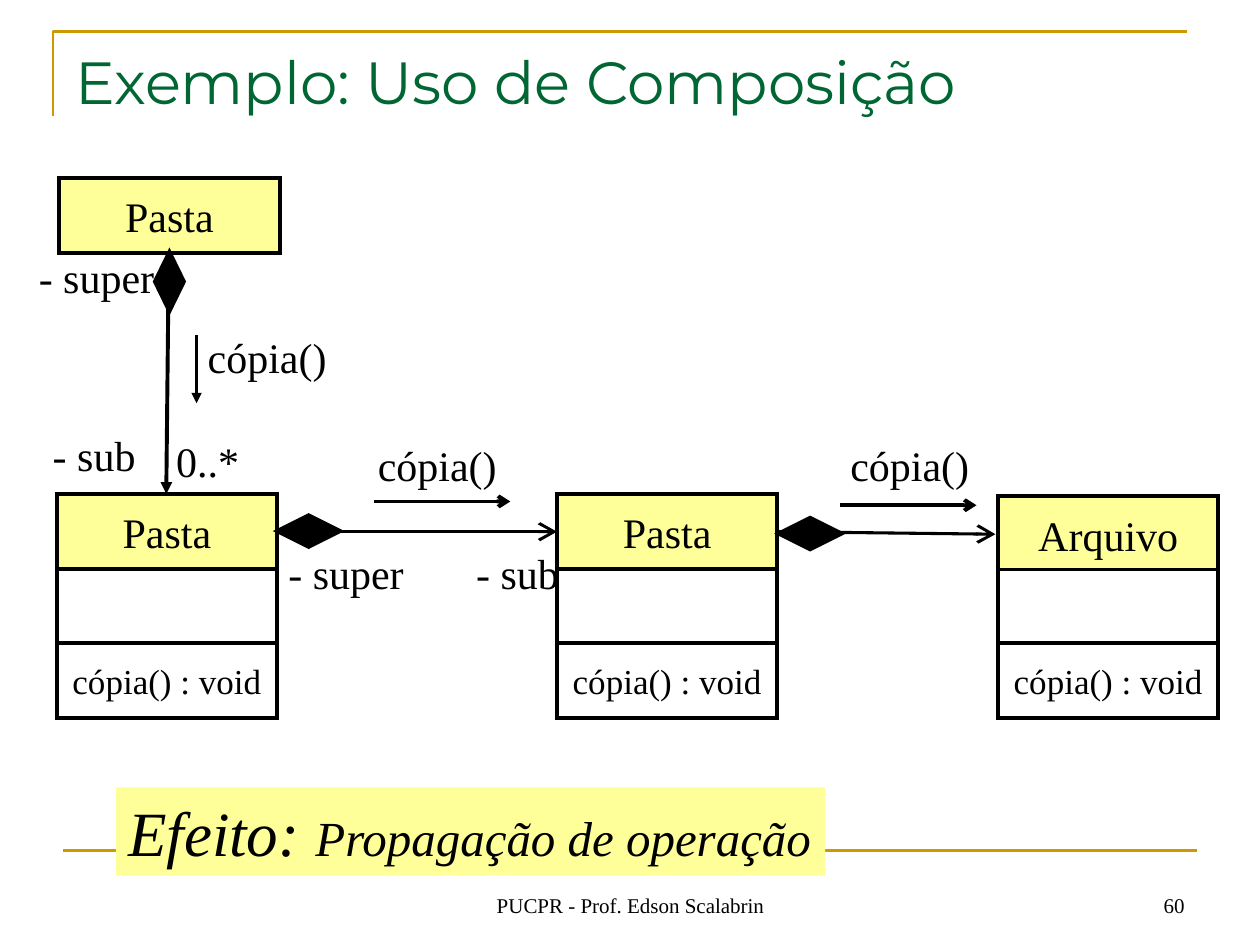
from lxml import etree
from pptx import Presentation
from pptx.dml.color import RGBColor
from pptx.enum.shapes import MSO_CONNECTOR, MSO_SHAPE
from pptx.enum.text import MSO_ANCHOR, MSO_AUTO_SIZE, PP_ALIGN
from pptx.oxml.ns import qn
from pptx.util import Inches, Pt

RECTANGLE, DIAMOND = MSO_SHAPE.RECTANGLE, MSO_SHAPE.FLOWCHART_DECISION
STRAIGHT = MSO_CONNECTOR.STRAIGHT
LEFT, CENTER, RIGHT = PP_ALIGN.LEFT, PP_ALIGN.CENTER, PP_ALIGN.RIGHT
TOP, MIDDLE, BOTTOM = MSO_ANCHOR.TOP, MSO_ANCHOR.MIDDLE, MSO_ANCHOR.BOTTOM
FIT_TEXT = MSO_AUTO_SIZE.SHAPE_TO_FIT_TEXT
COLORS = {
    name: RGBColor.from_string(value)
    for name, value in {
        "black": "000000", "white": "FFFFFF", "yellow": "FFFF99",
        "gold": "CC9900", "green": "006633",
    }.items()
}
SERIF = "Times New Roman"


def write(box, text, size, align=LEFT, anchor=TOP, font=SERIF, color="black", wrap=False):
    frame = box.text_frame
    frame.text = text
    frame.word_wrap = wrap
    frame.vertical_anchor = anchor
    para = frame.paragraphs[0]
    para.alignment = align
    para.font.size = Pt(size)
    para.font.name = font
    para.font.color.rgb = COLORS[color]
    return para


def draw_line(start, end, width, color="black", arrow=None, arrow_size="med"):
    line = page.shapes.add_connector(STRAIGHT, *map(Inches, start + end))
    line.line.color.rgb = COLORS[color]
    line.line.width = Pt(width)
    if arrow:
        etree.SubElement(
            line.line._get_or_add_ln(), qn("a:tailEnd"),
            type=arrow, w=arrow_size, len=arrow_size,
        )
    etree.SubElement(line._element.spPr, qn("a:effectLst"))


deck = Presentation()
deck.slide_width, deck.slide_height = Inches(10), Inches(7.5)
page = deck.slides.add_slide(deck.slide_layouts[5])

# Frame lines
builder = page.shapes.build_freeform(Inches(0.42), Inches(0.92))
builder.add_line_segments(
    [(Inches(0.42), Inches(0.25)), (Inches(9.42), Inches(0.25))], close=False
)
corner = builder.convert_to_shape()
corner.shadow.inherit = False
corner.fill.background()
corner.line.color.rgb = COLORS["gold"]
corner.line.width = Pt(1.5)
draw_line((0.5, 6.75), (9.5, 6.75), 1.5, "gold")

# Title
title = page.shapes.title
title.left, title.top, title.width, title.height = map(Inches, (0.5, 0.31, 9, 1.25))
write(title, "Exemplo: Uso de Composição", 34, font="Montserrat", color="green", wrap=True)

# Footer and page number
for left, width, text, align in [
    (3.42, 3.17, "PUCPR - Prof. Edson Scalabrin", CENTER),
    (7.17, 2.33, "60", RIGHT),
]:
    box = page.shapes.add_textbox(Inches(left), Inches(6.83), Inches(width), Inches(0.5))
    write(box, text, 12, align, BOTTOM, wrap=True)

# Class boxes: each full class has a name, an attribute and an operation part
parts = [(0.47, 1.41, "Pasta", 24, "yellow")]
for left, top, name in [(0.45, 3.92, "Pasta"), (4.42, 3.92, "Pasta"), (7.92, 3.94, "Arquivo")]:
    parts += [
        (left, top, name, 24, "yellow"),
        (left, 4.52, "", 20, "white"),
        (left, 5.1, "cópia() : void", 20, "white"),
    ]
outlined = []
for left, top, text, size, fill in parts:
    box = page.shapes.add_shape(
        RECTANGLE, Inches(left), Inches(top), Inches(1.75), Inches(0.6)
    )
    box.fill.solid()
    box.fill.fore_color.rgb = COLORS[fill]
    if text:
        write(box, text, size, CENTER, MIDDLE)
    outlined.append(box)

# Associations and message arrows
for start, end, width, arrow, arrow_size in [
    ((1.34, 2), (1.32, 3.92), 2.25, "triangle", "med"),
    ((2.2, 4.22), (4.42, 4.22), 1.75, "arrow", "lg"),
    ((6.18, 4.22), (7.9, 4.24), 1.75, "arrow", "lg"),
    ((1.56, 2.66), (1.56, 3.2), 1.75, "triangle", "med"),
    ((2.97, 3.98), (4.05, 3.98), 2.25, "arrow", "med"),
    ((6.67, 4.01), (7.75, 4.01), 2.25, "arrow", "med"),
]:
    draw_line(start, end, width, arrow=arrow, arrow_size=arrow_size)

# Composition diamonds
for bounds in [(1.23, 2, 0.23, 0.47), (2.2, 4.09, 0.5, 0.25), (6.18, 4.11, 0.5, 0.25)]:
    diamond = page.shapes.add_shape(DIAMOND, *map(Inches, bounds))
    diamond.fill.solid()
    diamond.fill.fore_color.rgb = COLORS["black"]
    outlined.append(diamond)

# Black outlines with sharp corners
for shape in outlined:
    shape.shadow.inherit = False
    shape.line.color.rgb = COLORS["black"]
    shape.line.width = Pt(2.25)
    etree.SubElement(shape.line._get_or_add_ln(), qn("a:miter"), lim="800000")

# Roles, multiplicity and messages
label_widths = {"cópia()": 1.16, "- super": 1.13, "- sub": 0.88, "0..*": 0.72}
for left, top, text in [
    (0.21, 1.95, "- super"), (0.32, 3.36, "- sub"), (1.3, 3.41, "0..*"),
    (2.19, 4.3, "- super"), (3.68, 4.3, "- sub"),
    (1.55, 2.58, "cópia()"), (2.9, 3.44, "cópia()"), (6.65, 3.44, "cópia()"),
]:
    box = page.shapes.add_textbox(
        Inches(left), Inches(top), Inches(label_widths[text]), Inches(0.5)
    )
    write(box, text, 24)
    box.text_frame.auto_size = FIT_TEXT

# Effect banner
banner = page.shapes.add_shape(
    RECTANGLE, Inches(0.92), Inches(6.25), Inches(5.63), Inches(0.7)
)
banner.shadow.inherit = False
banner.fill.solid()
banner.fill.fore_color.rgb = COLORS["yellow"]
banner.line.fill.background()
para = write(banner, "Efeito: ", 36)
para.font.italic = True
span = para.add_run()
span.text = "Propagação de operação"
span.font.size = Pt(28)

deck.save("out.pptx")
